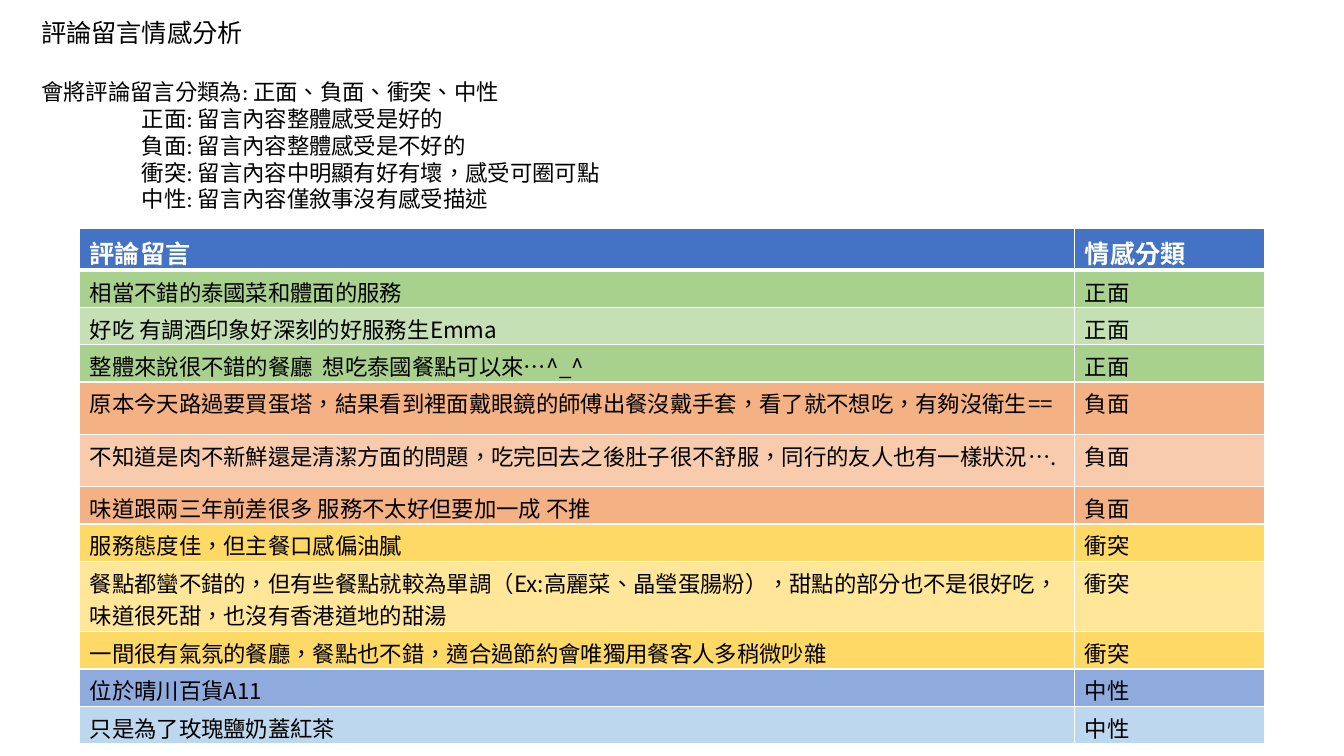
from pptx import Presentation
from pptx.dml.color import RGBColor
from pptx.enum.lang import MSO_LANGUAGE_ID
from pptx.util import Inches, Pt
from pptx.oxml import parse_xml
from pptx.oxml.ns import nsdecls

COLORS = {
    "text": "000000", "white": "FFFFFF", "header": "4472C4",
    "正面": ("A9D18E", "C5E0B4"), "負面": ("F4B183", "F8CBAD"),
    "衝突": ("FFD966", "FFE699"), "中性": ("8FAADC", "BDD7EE"),
}
LATIN, CJK = "Calibri", "Noto Sans CJK TC"
TITLE = {"size": Pt(18), "name": LATIN}
BODY = {"size": Pt(16), "name": LATIN}
HEADER = {"size": Pt(18), "name": LATIN, "bold": True}
CELL = {"size": Pt(16), "name": CJK, "bold": False}

DEFINITIONS = [
    "正面: 留言內容整體感受是好的",
    "負面: 留言內容整體感受是不好的",
    "衝突: 留言內容中明顯有好有壞，感受可圈可點",
    "中性: 留言內容僅敘事沒有感受描述",
]
REVIEWS = {
    "正面": ["相當不錯的泰國菜和體面的服務",
           "好吃 有調酒印象好深刻的好服務生Emma",
           "整體來說很不錯的餐廳  想吃泰國餐點可以來⋯^_^"],
    "負面": ["原本今天路過要買蛋塔，結果看到裡面戴眼鏡的師傅出餐沒戴手套，看了就不想吃，有夠沒衛生==",
           "不知道是肉不新鮮還是清潔方面的問題，吃完回去之後肚子很不舒服，同行的友人也有一樣狀況….",
           "味道跟兩三年前差很多 服務不太好但要加一成 不推"],
    "衝突": ["服務態度佳，但主餐口感偏油膩",
           "餐點都蠻不錯的，但有些餐點就較為單調（Ex:高麗菜、晶瑩蛋腸粉），甜點的部分也不是很好吃，味道很死甜，也沒有香港道地的甜湯",
           "一間很有氣氛的餐廳，餐點也不錯，適合過節約會唯獨用餐客人多稍微吵雜"],
    "中性": ["位於晴川百貨A11", "只是為了玫瑰鹽奶蓋紅茶"],
}
COLUMNS = (9.87, 1.88)
HEADER_ROW = 0.41
ROW_HEIGHTS = {50: 0.7, 40: 0.52, 0: 0.37}


def write(p, text, style, color="text"):
    """Add one formatted run to a paragraph."""
    r = p.add_run()
    r.text = text
    for key, value in style.items():
        setattr(r.font, key, value)
    r.font.color.rgb = RGBColor.from_string(COLORS[color])
    r.font.language_id = MSO_LANGUAGE_ID.TRADITIONAL_CHINESE


def add_intro(slide):
    """Place the title, the summary and the indented definitions."""
    box = slide.shapes.add_textbox(Inches(0.31), Inches(0.12), Inches(12.71), Inches(2.1))
    tf = box.text_frame
    tf.word_wrap = True
    write(tf.paragraphs[0], "評論留言情感分析", TITLE)
    p = tf.add_paragraph()
    p.space_before = Pt(22)
    write(p, "會將評論留言分類為: 正面、負面、衝突、中性", BODY)
    for definition in DEFINITIONS:
        p = tf.add_paragraph()
        p._p.get_or_add_pPr().set("marL", str(Inches(1)))
        write(p, definition, BODY)


def row_height(review):
    """Return the row height in inches that suits the length of a review."""
    return next(height for length, height in ROW_HEIGHTS.items() if len(review) > length)


def set_borders(cell, bottom):
    """Draw white cell borders with the given bottom width."""
    tcPr = cell._tc.get_or_add_tcPr()
    widths = {"lnL": 1, "lnR": 1, "lnT": 1, "lnB": bottom}
    for i, (side, width) in enumerate(widths.items()):
        tcPr.insert(i, parse_xml(
            f'<a:{side} {nsdecls("a")} w="{Pt(width)}"><a:solidFill>'
            f'<a:srgbClr val="{COLORS["white"]}"/></a:solidFill></a:{side}>'))


def fill_row(table, index, texts, fill, style, color="text", bottom=1):
    """Write and colour the cells of one table row."""
    for cell, text in zip(table.rows[index].cells, texts):
        cell.fill.solid()
        cell.fill.fore_color.rgb = RGBColor.from_string(fill)
        set_borders(cell, bottom)
        write(cell.text_frame.paragraphs[0], text, style, color)


def add_reviews(slide):
    """Place the table of reviews, shaded by sentiment."""
    rows = [(review, mood, COLORS[mood][i % 2])
            for mood, reviews in REVIEWS.items() for i, review in enumerate(reviews)]
    heights = [HEADER_ROW] + [row_height(review) for review, _, _ in rows]
    table = slide.shapes.add_table(len(heights), len(COLUMNS), Inches(0.79), Inches(2.27),
                                   Inches(sum(COLUMNS)), Inches(sum(heights))).table
    for column, width in zip(table.columns, COLUMNS):
        column.width = Inches(width)
    for row, height in zip(table.rows, heights):
        row.height = Inches(height)
    fill_row(table, 0, ("評論留言", "情感分類"), COLORS["header"], HEADER, "white", 3)
    for i, (review, mood, fill) in enumerate(rows, 1):
        fill_row(table, i, (review, mood), fill, CELL)


def main():
    """Build the slide and save it."""
    prs = Presentation()
    prs.slide_width, prs.slide_height = Inches(13.33), Inches(7.5)
    slide = prs.slides.add_slide(prs.slide_layouts[6])
    add_intro(slide)
    add_reviews(slide)
    prs.save("out.pptx")


if __name__ == "__main__":
    main()
